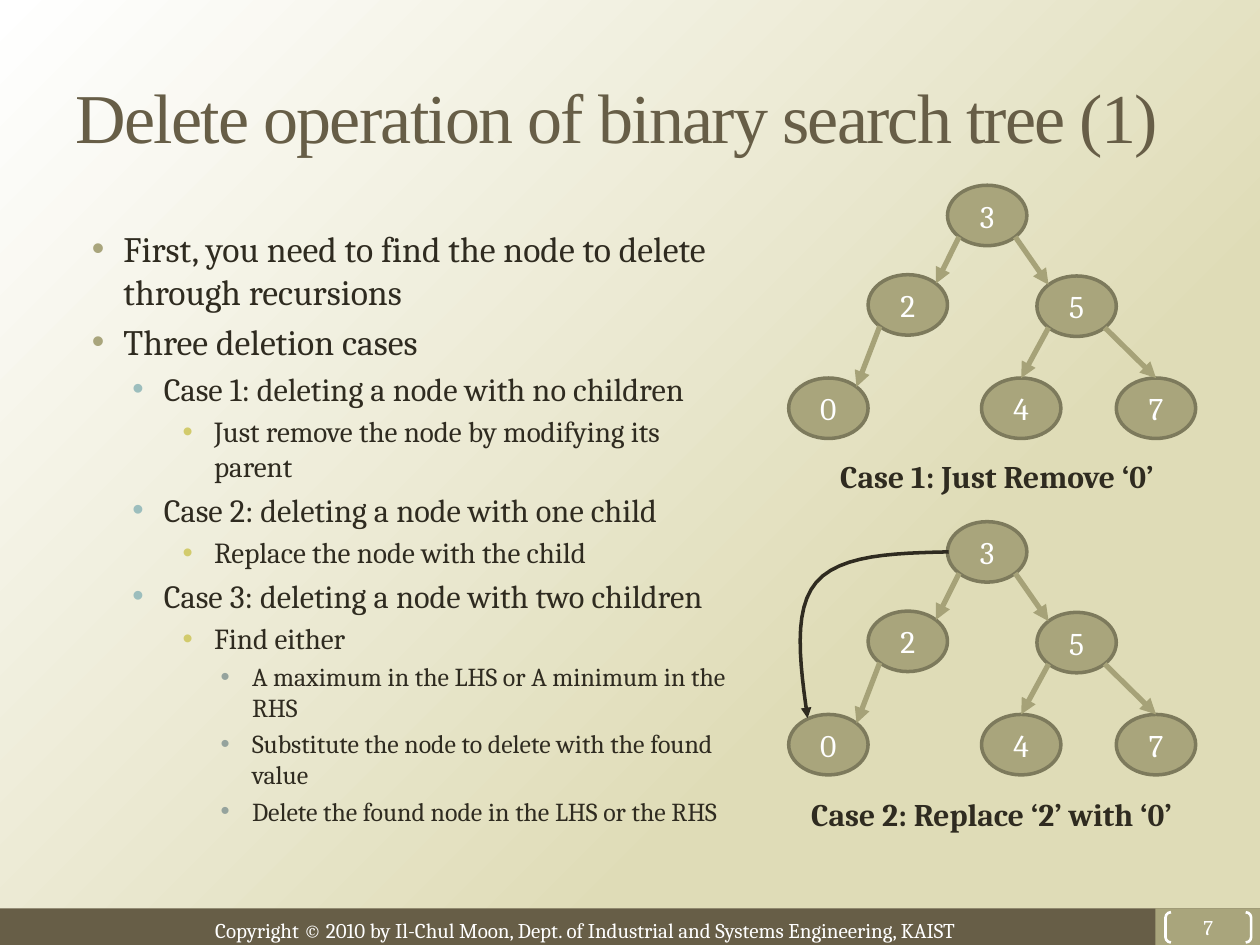
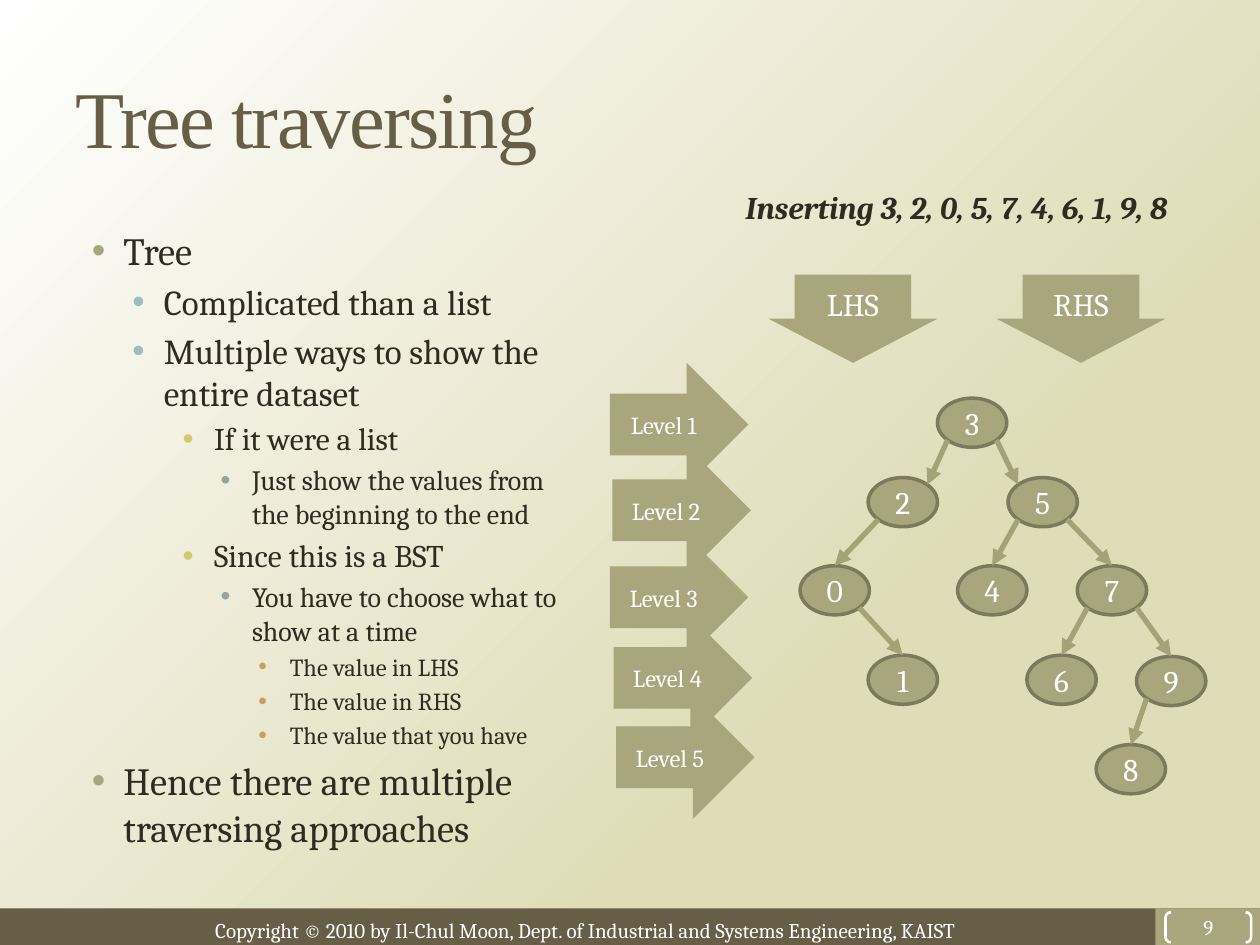
"""Build two lecture slides on binary search trees: deletion and traversal."""
from lxml import etree
from pptx import Presentation
from pptx.dml.color import RGBColor
from pptx.enum.shapes import MSO_CONNECTOR, MSO_SHAPE
from pptx.enum.text import MSO_ANCHOR, MSO_AUTO_SIZE, PP_ALIGN
from pptx.oxml.ns import qn
from pptx.util import Inches, Pt

RECT, OVAL, BRACKETS = MSO_SHAPE.RECTANGLE, MSO_SHAPE.OVAL, MSO_SHAPE.DOUBLE_BRACKET
RIGHT_ARROW, DOWN_ARROW = MSO_SHAPE.RIGHT_ARROW, MSO_SHAPE.DOWN_ARROW
STRAIGHT = MSO_CONNECTOR.STRAIGHT
MIDDLE, LEFT = MSO_ANCHOR.MIDDLE, PP_ALIGN.LEFT
NO_FIT, GROW = MSO_AUTO_SIZE.NONE, MSO_AUTO_SIZE.SHAPE_TO_FIT_TEXT

COLORS = {
    "band": "675E47", "accent": "A9A57C", "outline": "7D7A5C", "edge": "A6A278",
    "text": "2F2B20", "white": "FFFFFF", "back": "DFDCB7",
}
BULLETS = ["A9A57C", "9CBEBD", "D2CB6C", "95A39D", "C89F5D"]
INDENTS = [0.38, 0.7, 1.1, 1.4, 1.7]
BODY_FONT, TITLE_FONT = "Cambria", "Times New Roman"
COPYRIGHT = "Copyright © 2010 by Il-Chul Moon, Dept. of Industrial and Systems Engineering, KAIST"
DIAGONAL = 0.5 ** 0.5 / 2

DELETE_NODES = {"3": (7.52, 1.47), "2": (6.89, 2.18), "0": (6.26, 3), "5": (8.23, 2.19),
                "4": (7.79, 3), "7": (8.86, 3)}
DELETE_EDGES = [("32", True), ("20", True), ("35", True), ("54", False), ("57", False)]
TRAVERSE_NODES = {"3": (7.44, 3.16), "2": (6.89, 3.79), "0": (6.35, 4.49), "5": (8, 3.79),
                  "7": (8.55, 4.49), "4": (7.6, 4.49), "6": (8.15, 5.2), "1": (6.89, 5.2),
                  "9": (9.02, 5.21), "8": (8.7, 5.91)}
TRAVERSE_EDGES = [("32", True), ("35", True), ("57", False), ("54", False), ("79", False),
                  ("76", False), ("98", False), ("20", False), ("01", False)]

SLIDES = [
    {
        "title": "Delete operation of binary search tree (1)", "title_size": 40, "page": "7",
        "body_width": 5.37, "sizes": [20.4, 18.5, 16.6, 14.8],
        "body": [
            (0, "First, you need to find the node to delete through recursions"),
            (0, "Three deletion cases"),
            (1, "Case 1: deleting a node with no children"),
            (2, "Just remove the node by modifying its parent"),
            (1, "Case 2: deleting a node with one child"),
            (2, "Replace the node with the child"),
            (1, "Case 3: deleting a node with two children"),
            (2, "Find either"),
            (3, "A maximum in the LHS or A minimum in the RHS"),
            (3, "Substitute the node to delete with the found value"),
            (3, "Delete the found node in the LHS or the RHS"),
        ],
        "trees": [(DELETE_NODES, DELETE_EDGES, 0, 0.63, 0.48),
                  (DELETE_NODES, DELETE_EDGES, 2.67, 0.63, 0.48)],
        "labels": [("Case 1: Just Remove ‘0’", 6.57, 3.58, 2.81, False),
                   ("Case 2: Replace ‘2’ with ‘0’", 6.34, 6.26, 3.2, False)],
        "arrows": [],
        "curves": [[(7.53, 4.38), (7.1, 4.39), (6.67, 4.4), (6.48, 4.62)],
                   [(6.48, 4.62), (6.29, 4.84), (6.35, 5.27), (6.41, 5.7)]],
    },
    {
        "title": "Tree traversing", "title_size": 46, "page": "9",
        "body_width": 4.11, "sizes": [22, 20, 18, 16, 14],
        "body": [
            (0, "Tree"),
            (1, "Complicated than a list"),
            (1, "Multiple ways to show the entire dataset"),
            (2, "If it were a list"),
            (3, "Just show the values from the beginning to the end"),
            (2, "Since this is a BST"),
            (3, "You have to choose what to show at a time"),
            (4, "The value in LHS"),
            (4, "The value in RHS"),
            (4, "The value that you have"),
            (0, "Hence there are multiple traversing approaches"),
        ],
        "trees": [(TRAVERSE_NODES, TRAVERSE_EDGES, 0, 0.55, 0.39)],
        "labels": [("Inserting 3, 2, 0, 5, 7, 4, 6, 1, 9, 8", 5.82, 1.44, 3.75, True)],
        "arrows": [
            (RIGHT_ARROW, "Level 1", (4.84, 2.88, 1.1, 0.98), 14),
            (RIGHT_ARROW, "Level 2", (4.86, 3.56, 1.1, 0.98), 14),
            (RIGHT_ARROW, "Level 3", (4.84, 4.25, 1.1, 0.98), 14),
            (RIGHT_ARROW, "Level 4", (4.87, 4.89, 1.1, 0.98), 14),
            (RIGHT_ARROW, "Level 5", (4.89, 5.52, 1.1, 0.98), 14),
            (DOWN_ARROW, "LHS", (6.1, 2.18, 1.34, 0.7), 18),
            (DOWN_ARROW, "RHS", (7.91, 2.18, 1.34, 0.7), 18),
        ],
        "curves": [],
    },
]


def add_run(p, text, size, color, font=BODY_FONT):
    r = p.add_run()
    r.text = text
    r.font.size, r.font.name = Pt(size), font
    r.font.color.rgb = RGBColor.from_string(COLORS[color])
    return r


def add_box(s, kind, box, fill=None, line=None, width=2, text="", size=18):
    sp = s.shapes.add_shape(kind, *map(Inches, box))
    sp.shadow.inherit = False
    for part, color in ((sp.fill, fill), (sp.line.fill, line)):
        if color:
            part.solid()
            part.fore_color.rgb = RGBColor.from_string(COLORS[color])
        else:
            part.background()
    if line:
        sp.line.width = Pt(width)
    if text:
        add_run(sp.text_frame.paragraphs[0], text, size, "white")
    return sp


prs = Presentation()
prs.slide_width, prs.slide_height = Inches(10), Inches(7.5)
back = prs.slide_master.background.fill
back.gradient()
back.gradient_angle = 135
for stop, position, color in zip(back.gradient_stops, (0.31, 1), ("back", "white")):
    stop.position = position
    stop.color.rgb = RGBColor.from_string(COLORS[color])

for data in SLIDES:
    s = prs.slides.add_slide(prs.slide_layouts[1])
    title, body = s.placeholders
    add_box(s, RECT, (0, 7.21, 10, 0.29), "band")
    add_box(s, RECT, (9.17, 7.21, 0.83, 0.29), "accent")
    sp = s.shapes.add_textbox(Inches(1.61), Inches(7.23), Inches(6.41), Inches(0.3))
    tf = sp.text_frame
    tf.word_wrap, tf.auto_size = False, GROW
    add_run(tf.paragraphs[0], COPYRIGHT, 12, "white")
    sp = add_box(s, BRACKETS, (9.25, 7.24, 0.68, 0.24), None, "white", 1.5, data["page"], 12)
    sp.adjustments[0] = 0.18
    tf = sp.text_frame
    tf.margin_left = tf.margin_right = tf.margin_top = tf.margin_bottom = 0

    title.left, title.top, title.width, title.height = map(Inches, (0.5, 0.3, 9.22, 1.24))
    tf = title.text_frame
    tf.vertical_anchor, tf.auto_size = MIDDLE, NO_FIT
    p = tf.paragraphs[0]
    p.alignment = LEFT
    r = add_run(p, data["title"], data["title_size"], "band", TITLE_FONT)
    r.font._element.set("spc", "-100")

    body.left, body.top, body.height = Inches(0.5), Inches(1.75), Inches(5.39)
    body.width = Inches(data["body_width"])
    tf = body.text_frame
    tf.auto_size = NO_FIT
    for i, (level, text) in enumerate(data["body"]):
        p = tf.add_paragraph() if i else tf.paragraphs[0]
        p.level = level
        pPr = p._p.get_or_add_pPr()
        pPr.set("marL", str(Inches(INDENTS[level])))
        pPr.set("indent", str(Inches(-0.25)))
        buClr = etree.SubElement(pPr, qn("a:buClr"))
        etree.SubElement(buClr, qn("a:srgbClr"), val=BULLETS[level])
        etree.SubElement(pPr, qn("a:buFont"), typeface="Arial")
        etree.SubElement(pPr, qn("a:buChar"), char="•")
        add_run(p, text, data["sizes"][level], "text")

    for nodes, edges, drop, w, h in data["trees"]:
        ovals = {}
        for key, (x, y) in nodes.items():
            ovals[key] = add_box(s, OVAL, (x, y + drop, w, h), "accent", "outline", text=key)
        dx, dy = w * DIAGONAL, h * DIAGONAL
        for (parent, child), corner in edges:
            (px, py), (cx, cy) = nodes[parent], nodes[child]
            side = 1 if cx > px else -1
            x1, y1 = px + w / 2 + side * dx, py + drop + h / 2 + dy
            x2, y2 = cx + w / 2 - side * dx, cy + drop + h / 2 - dy
            sp = s.shapes.add_connector(STRAIGHT, *map(Inches, (x1, y1, x2, y2)))
            if not corner:
                sp.end_connect(ovals[child], 0)
            sp.line.color.rgb = RGBColor.from_string(COLORS["edge"])
            sp.line.width = Pt(3)
            etree.SubElement(sp.line._get_or_add_ln(), qn("a:tailEnd"), type="triangle")
            etree.SubElement(sp._element.spPr, qn("a:effectLst"))

    for text, x, y, w, italic in data["labels"]:
        sp = s.shapes.add_textbox(Inches(x), Inches(y), Inches(w), Inches(0.4))
        tf = sp.text_frame
        tf.word_wrap, tf.auto_size = False, GROW
        r = add_run(tf.paragraphs[0], text, 18, "text")
        r.font.bold, r.font.italic = True, italic

    for kind, text, box, size in data["arrows"]:
        sp = add_box(s, kind, box, "accent", text=text, size=size)
        if kind == DOWN_ARROW:
            sp.adjustments[0] = 0.69

    points = []
    for curve in data["curves"]:
        for step in range(13):
            t = step / 12
            weights = ((1 - t) ** 3, 3 * t * (1 - t) ** 2, 3 * t * t * (1 - t), t ** 3)
            points.append([Inches(sum(k * v for k, v in zip(weights, axis)))
                           for axis in zip(*curve)])
    if points:
        builder = s.shapes.build_freeform(*points[0])
        builder.add_line_segments(points[1:], close=False)
        sp = builder.convert_to_shape()
        sp.shadow.inherit = False
        sp.fill.background()
        sp.line.color.rgb = RGBColor.from_string(COLORS["text"])
        sp.line.width = Pt(2)
        etree.SubElement(sp.line._get_or_add_ln(), qn("a:tailEnd"), type="triangle")

prs.save("out.pptx")
